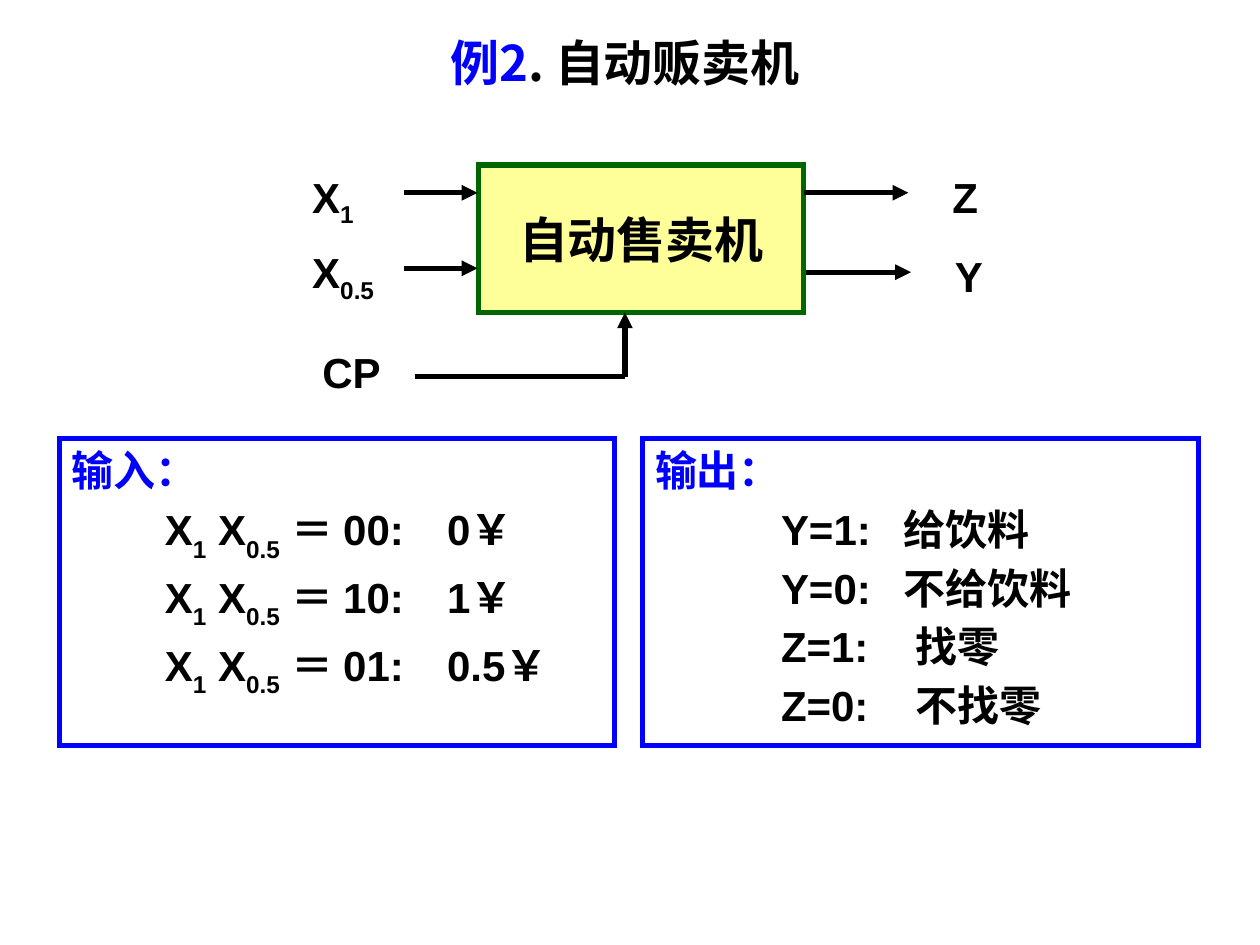
from lxml import etree
from pptx import Presentation
from pptx import util as u
from pptx.dml.color import RGBColor
from pptx.enum import shapes, text
from pptx.oxml import ns

CELL = u.Inches(0.1)
COLUMNS, ROWS = 100, 75
BLACK = RGBColor(0x00, 0x00, 0x00)
BLUE = RGBColor(0x00, 0x00, 0xFF)
GREEN = RGBColor(0x00, 0x66, 0x00)
YELLOW = RGBColor(0xFF, 0xFF, 0x99)
LATIN, CHINESE = "Arial", "Noto Sans CJK SC"
BODY = {"name": LATIN, "size": u.Pt(24), "bold": True, "color": BLACK}
HEAD = {**BODY, "name": CHINESE, "color": BLUE}


def grid(*cells):
    """Turn grid cells into slide lengths."""
    return [round(cell * CELL) for cell in cells]


def add_child(parent, tag, **attributes):
    """Append a drawing element with the given attributes."""
    return etree.SubElement(parent, ns.qn(tag), attributes)


def add_span(para, words, look, baseline=0):
    """Add one run with a look, raised or lowered by a percentage."""
    span = para.add_run()
    span.text = words
    for key, value in look.items():
        if key == "color":
            span.font.color.rgb = value
        else:
            setattr(span.font, key, value)
    properties = span.font._element
    add_child(properties, "a:ea", typeface=CHINESE)
    if baseline:
        properties.set("baseline", str(baseline * 1000))


def format_para(para, tabs=(), **values):
    """Set paragraph values and tab stops given in grid cells."""
    for key, value in values.items():
        setattr(para, key, value)
    if tabs:
        stops = add_child(para._p.get_or_add_pPr(), "a:tabLst")
        for stop in tabs:
            add_child(stops, "a:tab", pos=str(grid(stop)[0]), algn="l")


def add_rectangle(page, box, line, fill=None):
    """Draw a sharp-cornered outlined rectangle and return it."""
    shape = page.shapes.add_shape(shapes.MSO_SHAPE.RECTANGLE, *grid(*box))
    shape.shadow.inherit = False
    shape.line.color.rgb = line
    shape.line.width = u.Pt(3)
    add_child(shape.line._get_or_add_ln(), "a:miter", lim="800000")
    if fill is None:
        shape.fill.background()
    else:
        shape.fill.solid()
        shape.fill.fore_color.rgb = fill
    return shape


def add_line(page, start, end, arrow=True):
    """Draw a straight line, with an arrowhead at its end if wanted."""
    line = page.shapes.add_connector(
        shapes.MSO_CONNECTOR.STRAIGHT, *grid(*start, *end))
    line.line.color.rgb = BLACK
    line.line.width = u.Pt(3)
    if arrow:
        add_child(line.line._get_or_add_ln(), "a:tailEnd", type="triangle")
    add_child(line._element.spPr, "a:effectLst")


def add_label(page, box, name, index=""):
    """Write a signal name with an optional subscript."""
    label = page.shapes.add_textbox(*grid(*box))
    label.text_frame.word_wrap = True
    para = label.text_frame.paragraphs[0]
    add_span(para, name, BODY)
    if index:
        add_span(para, index, BODY, -25)


def add_title(page, box):
    """Write the centred two-colour title."""
    title = page.shapes.add_textbox(*grid(*box))
    title.text_frame.word_wrap = True
    para = title.text_frame.paragraphs[0]
    format_para(para, alignment=text.PP_ALIGN.CENTER)
    look = {**HEAD, "size": u.Pt(28)}
    add_span(para, "例2", look)
    add_span(para, ". 自动贩卖机", {**look, "color": BLACK})


def add_diagram(page, box):
    """Draw the machine block with its inputs, clock and outputs."""
    left, top, width, height = box
    machine_left, machine_width = left + 14.2, 25.8
    machine_right, bottom = machine_left + machine_width, top + 11.7
    machine = add_rectangle(
        page, (machine_left, top, machine_width, 11.7), GREEN, YELLOW)
    frame = machine.text_frame
    frame.word_wrap = False
    frame.vertical_anchor = text.MSO_ANCHOR.MIDDLE
    para = frame.paragraphs[0]
    format_para(para, alignment=text.PP_ALIGN.CENTER)
    add_span(para, "自动售卖机", {**BODY, "size": u.Pt(28)})

    for index, row in (("1", 2.2), ("0.5", 8.2)):
        add_line(page, (left + 8.3, top + row), (machine_left - 0.1, top + row))
        add_label(page, (left, top + row - 2.2, 8, 5), "X", index)
    for name, row, shift in (("Z", 2.2, 0), ("Y", 8.5, 0.2)):
        start = machine_right + shift
        add_line(page, (start, top + row), (start + 8.3, top + row))
        add_label(page, (start + 10.8, top + row - 2.2, 7.5, 5), name)

    clock_row, clock_column = top + height, left + 25.8
    add_line(page, (left + 9.1, clock_row), (clock_column, clock_row), False)
    add_line(page, (clock_column, clock_row), (clock_column, bottom))
    add_label(page, (left + 0.8, clock_row - 2.9, 7.5, 5), "CP")


def add_panel(page, box, heading, rows, tabs):
    """Draw a framed list with a heading and tabbed rows of spans."""
    frame = add_rectangle(page, box, BLUE).text_frame
    frame.word_wrap = True
    frame.vertical_anchor = text.MSO_ANCHOR.TOP
    first = frame.paragraphs[0]
    format_para(first, alignment=text.PP_ALIGN.LEFT)
    add_span(first, heading, HEAD)
    for row in rows:
        para = frame.add_paragraph()
        format_para(para, tabs, alignment=text.PP_ALIGN.LEFT,
                    space_before=u.Pt(4.8))
        for words, baseline in row:
            add_span(para, words, BODY, baseline)


def main():
    """Build and save the vending machine slide."""
    deck = Presentation()
    deck.slide_width, deck.slide_height = grid(COLUMNS, ROWS)
    page = deck.slides.add_slide(deck.slide_layouts[6])
    coins = (("00", "0"), ("10", "1"), ("01", "0.5"))
    inputs = [
        (("\tX", 0), ("1", -30), (" X", 0), ("0.5", -30),
         (f" ＝ {code}:\t{value}￥", 0))
        for code, value in coins]
    results = (("Y=1", "给饮料"), ("Y=0", "不给饮料"),
               ("Z=1", " 找零"), ("Z=0", " 不找零"))
    outputs = [((f"\t{state}:\t{action}", 0),) for state, action in results]
    add_diagram(page, (23.8, 13.1, 58.5, 16.8))
    add_panel(page, (4.7, 34.8, 44.1, 24.4), "输入：", inputs, (7.4, 29.8))
    add_title(page, (9.05, 2.1, 81.1, 5.7))
    add_panel(page, (51, 34.8, 44.1, 24.4), "输出：", outputs, (10, 19.75))
    deck.save("out.pptx")


if __name__ == "__main__":
    main()
